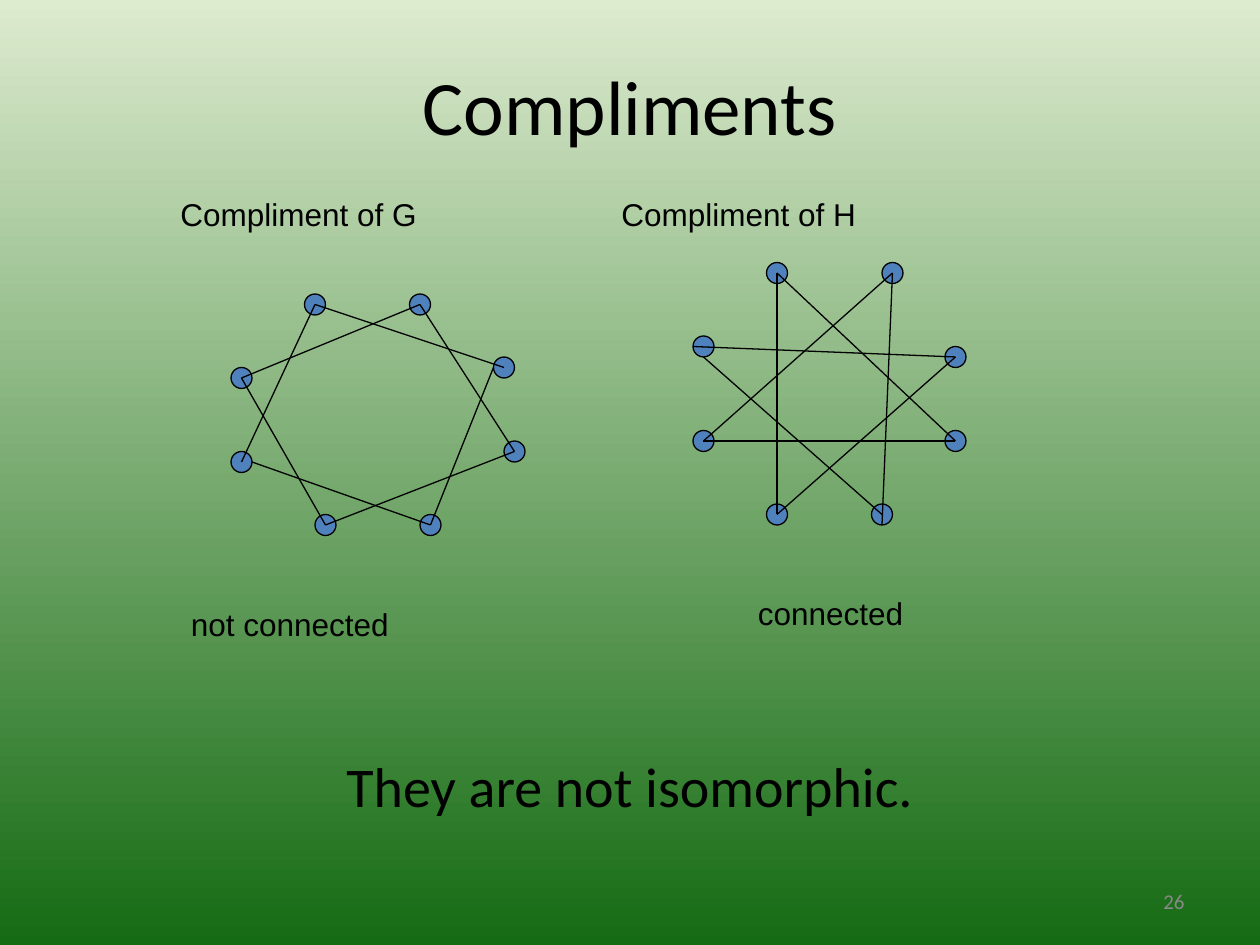
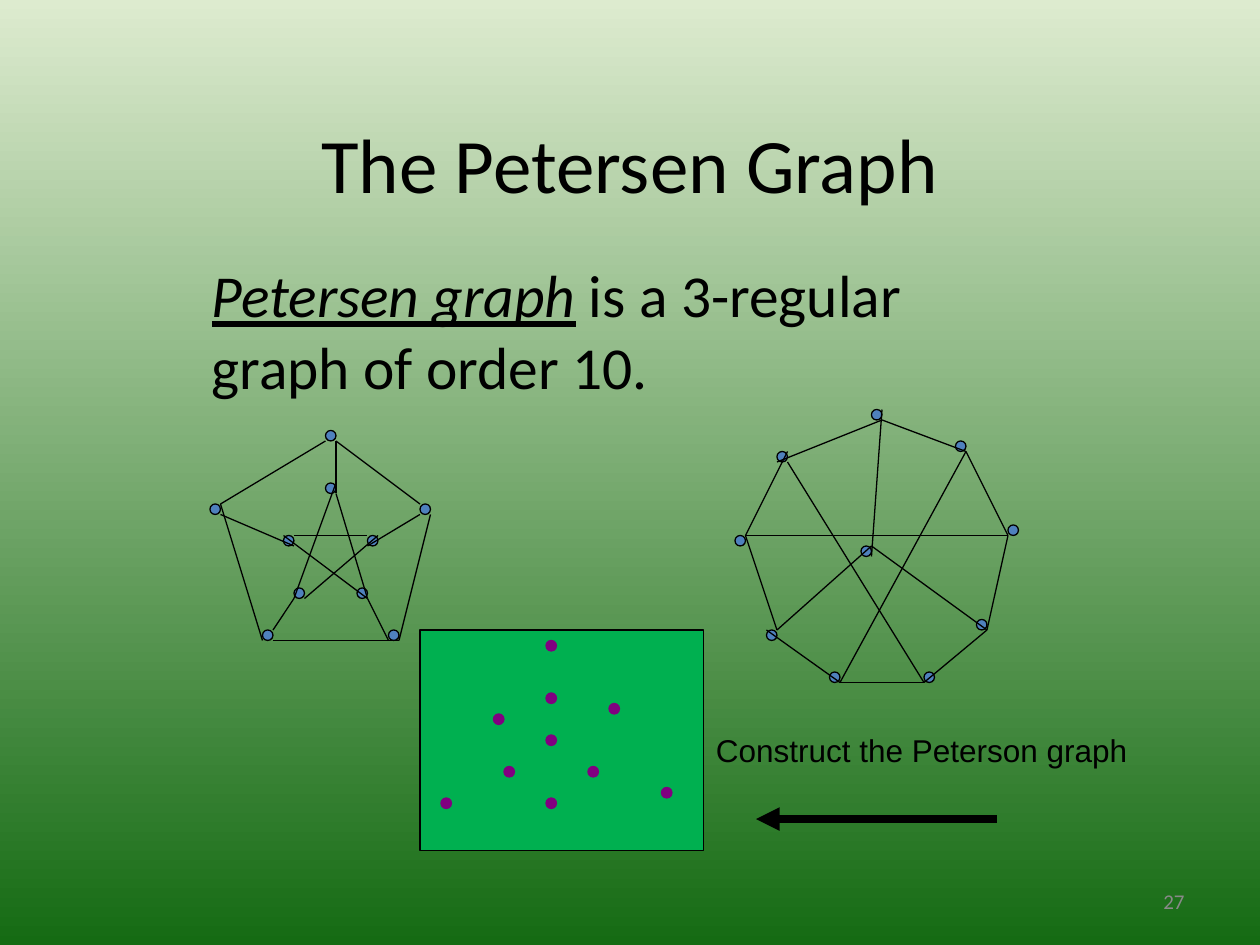
from itertools import pairwise

from lxml.etree import SubElement
from pptx import Presentation
from pptx.dml.color import RGBColor
from pptx.enum.shapes import MSO_CONNECTOR as Wire, MSO_SHAPE as Form
from pptx.enum.text import MSO_ANCHOR as Anchor, PP_ALIGN as Align
from pptx.oxml.ns import qn
from pptx.util import Cm, Pt

ink = RGBColor.from_string
STEP = 2.54 / 12
BLACK, BLUE, GREEN, PLUM, GREY = "000000", "4F81BD", "00B050", "800080", "898989"


def write(page, text, spot, size=18, font="Arial", color=BLACK,
          align=Align.LEFT, anchor=Anchor.TOP, lead=""):
    frame = page.shapes.add_textbox(*[Cm(n * STEP) for n in spot]).text_frame
    frame.word_wrap = True
    frame.vertical_anchor = anchor
    para = frame.paragraphs[0]
    para.alignment = align
    for part in filter(None, (lead, text)):
        run = para.add_run()
        run.text = part
        run.font.size = Pt(size)
        run.font.name = font
        run.font.color.rgb = ink(color)
        if part == lead:
            run.font.italic = run.font.underline = True


def link(page, start, end, width=0.75):
    line = page.shapes.add_connector(
        Wire.STRAIGHT, *[Cm(n * STEP) for n in (*start, *end)])
    line.line.color.rgb = ink(BLACK)
    line.line.width = Pt(width)
    SubElement(line._element.spPr, qn("a:effectLst"))
    return line


deck = Presentation()
deck.slide_width, deck.slide_height = Cm(25.4), Cm(19.05)

back = deck.slide_master.background.fill
back.gradient()
back.gradient_angle = 270
for stop, tone in zip(back.gradient_stops, ("DDEBCF", "156B13")):
    stop.color.rgb = ink(tone)

pages = []
for title, top, number in (("Compliments", 5, "26"),
                           ("The Petersen Graph", 10.5, "27")):
    page = deck.slides.add_slide(deck.slide_layouts[6])
    write(page, number, (86, 83.4, 28, 4.8), size=12, font="Calibri",
          color=GREY, align=Align.RIGHT, anchor=Anchor.MIDDLE)
    write(page, title, (9, top, 102, 10), size=44, font="Calibri",
          align=Align.CENTER, anchor=Anchor.MIDDLE)
    pages.append(page)
pair, peter = pages

write(pair, "They are not isomorphic.", (9, 71, 102, 9), size=32,
      font="Calibri", align=Align.CENTER)
write(peter, " is a 3-regular graph of order 10.", (19, 24, 79, 15), size=34,
      font="Calibri", lead="Petersen graph")

for page, text, spot in (
    (pair, "not connected", (17, 57, 39, 4.8)),
    (pair, "connected", (71, 56, 22, 4.8)),
    (pair, "Compliment of G", (16, 18, 39, 4.8)),
    (pair, "Compliment of H", (58, 18, 39, 4.8)),
    (peter, "Construct the Peterson graph", (67, 69, 50, 10.3)),
):
    write(page, text, spot)

g_dots = [(29, 28), (39, 28), (22, 35), (22, 43),
          (30, 49), (40, 49), (48, 42), (47, 34)]
h_dots = [(66, 32), (66, 41), (73, 25), (84, 25),
          (90, 33), (90, 41), (83, 48), (73, 48)]
star_dots = [(31, 41), (20, 48), (40, 48), (25, 60), (37, 60),
             (31, 46), (27, 51), (35, 51), (28, 56), (34, 56)]
ring_dots = [(82, 52), (91, 42), (96, 50), (93, 59), (83, 39),
             (88, 64), (79, 64), (73, 60), (70, 51), (74, 43)]
task_dots = [(52, 61), (42, 76), (47, 68), (52, 76), (52, 66),
             (58, 67), (52, 70), (48, 73), (63, 75), (56, 73)]

for page, form, wide, high, fill, edge, spots in (
    (peter, Form.RECTANGLE, 27, 21, GREEN, BLACK, [(40, 60)]),
    (pair, Form.OVAL, 2, 2, BLUE, BLACK, g_dots + h_dots),
    (peter, Form.OVAL, 1, 1, BLUE, BLACK, star_dots + ring_dots),
    (peter, Form.OVAL, 1, 1, PLUM, PLUM, task_dots),
):
    for x, y in spots:
        shape = page.shapes.add_shape(
            form, *[Cm(n * STEP) for n in (x, y, wide, high)])
        shape.shadow.inherit = False
        shape.fill.solid()
        shape.fill.fore_color.rgb = ink(fill)
        shape.line.color.rgb = ink(edge)
        shape.line.width = Pt(0.75)

g_paths = [
    [(23, 44), (30, 29), (48, 35)],
    [(47, 35), (41, 50), (24, 44)],
    [(40, 29), (23, 36), (31, 50), (49, 43), (40, 29)],
]
h_paths = [
    [(84, 50), (85, 26), (67, 42), (91, 42),
     (74, 26), (74, 49), (91, 34), (66, 33)],
    [(84, 49), (67, 34)],
]
star_paths = [
    [(31, 42), (21, 48), (25, 61)],
    [(26, 61), (38, 61), (41, 49)],
    [(40, 48), (32, 42), (32, 47), (35, 57), (27, 51)],
    [(26, 60), (28, 57), (32, 46)],
    [(21, 49), (28, 52)],
    [(35, 57), (37, 61)],
    [(40, 49), (35, 52)],
    [(28, 51), (35, 51)],
    [(36, 51), (29, 57)],
]
ring_paths = [
    [(74, 44), (84, 40), (92, 43), (96, 51),
     (94, 60), (88, 65), (80, 65), (73, 60)],
    [(75, 43), (71, 51), (74, 60), (83, 52), (94, 60)],
    [(92, 43), (80, 65)],
    [(96, 51), (71, 51)],
    [(75, 44), (88, 65)],
    [(84, 39), (83, 53)],
]

for page, paths in ((pair, g_paths + h_paths), (peter, star_paths + ring_paths)):
    for route in paths:
        for start, end in pairwise(route):
            link(page, start, end)

arrow = link(peter, (72, 78), (95, 78), width=4.5)
SubElement(arrow.line._get_or_add_ln(), qn("a:headEnd"), type="triangle")

deck.save("out.pptx")
